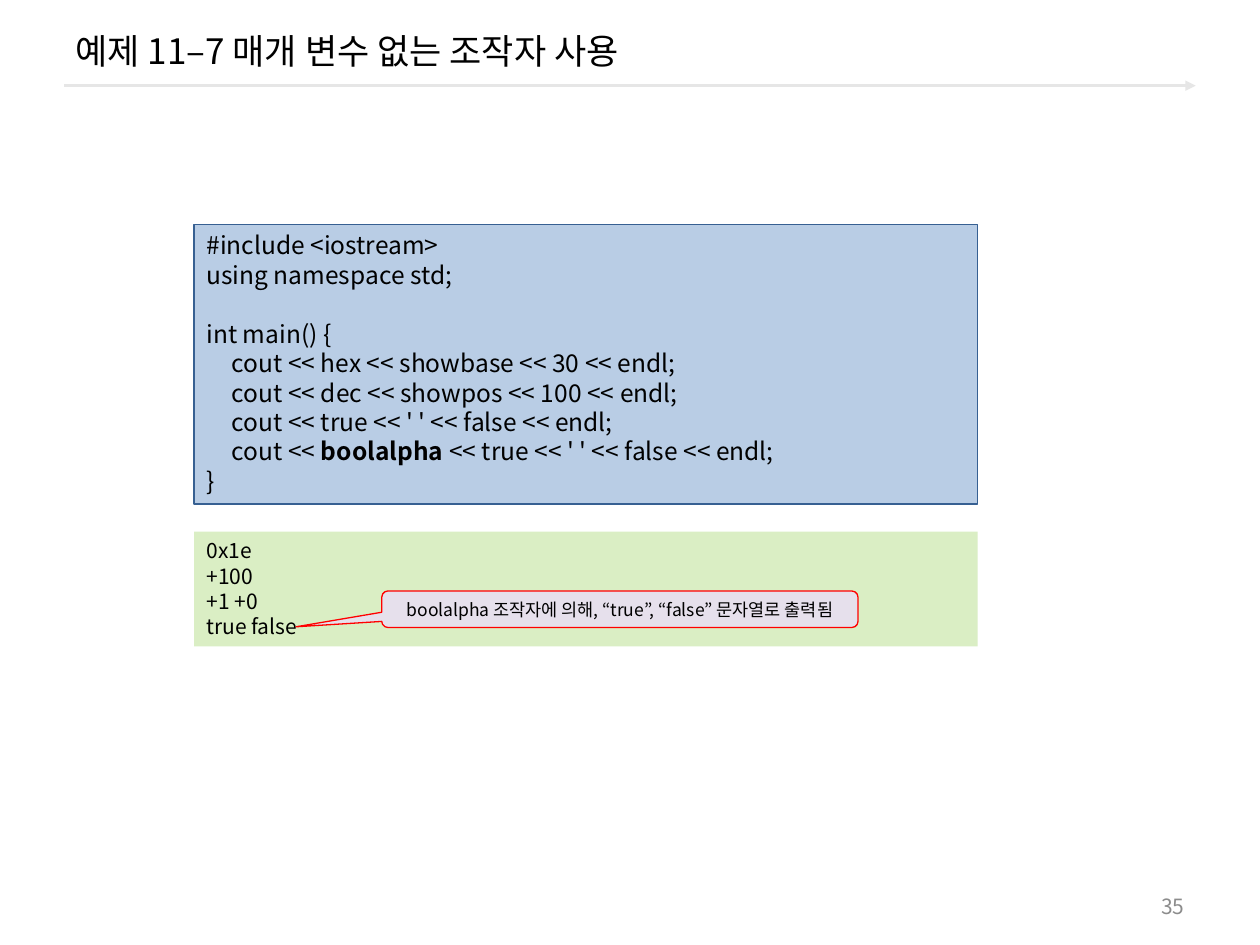
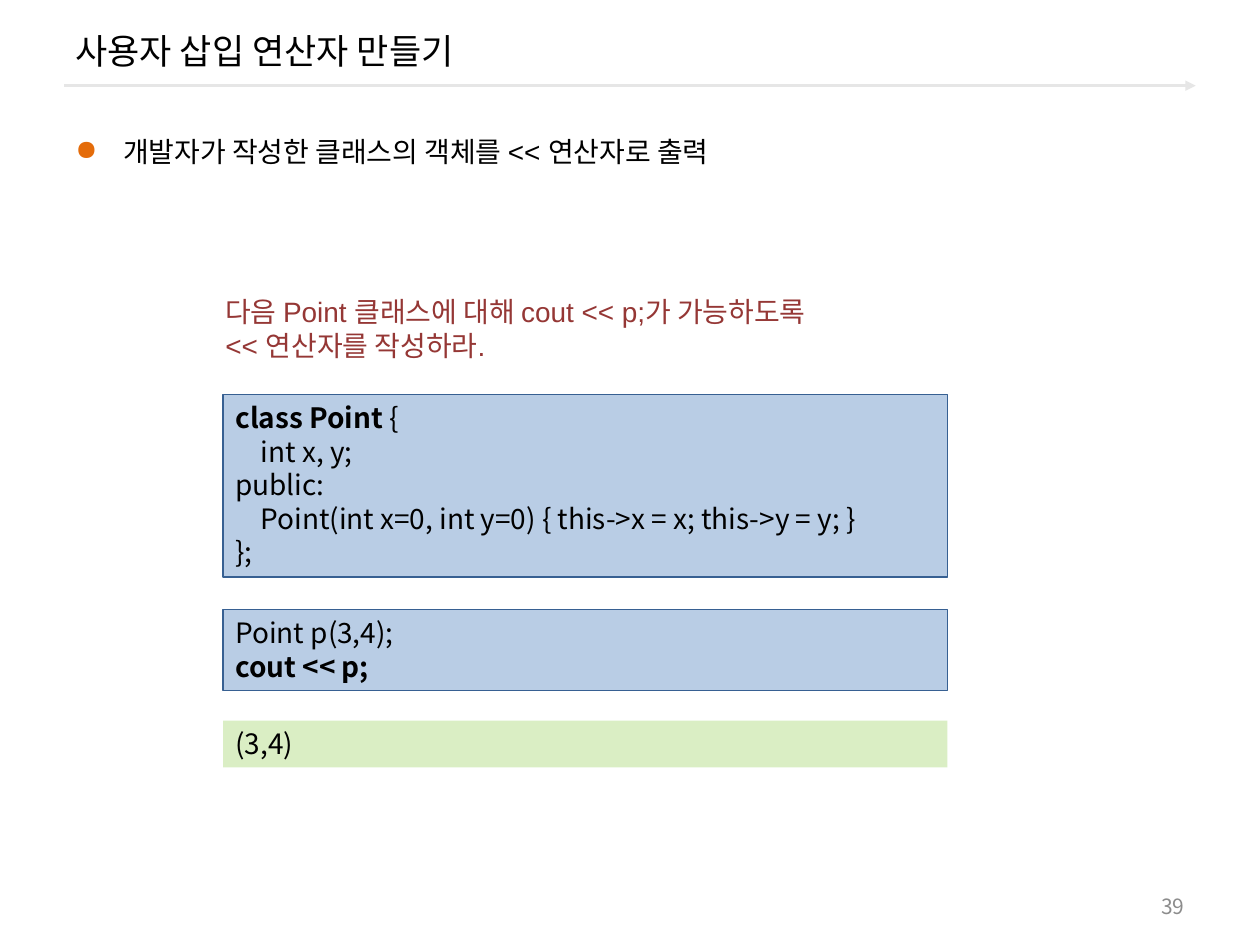
import dataclasses

import lxml.etree
import pptx
import pptx.dml.color
import pptx.enum.shapes
import pptx.enum.text
import pptx.oxml.ns
import pptx.util

Align = pptx.enum.text.PP_ALIGN
Anchor = pptx.enum.text.MSO_ANCHOR
Shape = pptx.enum.shapes.MSO_SHAPE
qn = pptx.oxml.ns.qn


@dataclasses.dataclass(frozen=True)
class Theme:
    sans: str = "Noto Sans CJK KR"
    latin: str = "Arial"
    text: str = "000000"
    muted: str = "8C8C8C"
    rule: str = "E6E6E6"
    bullet: str = "E46C0A"
    task: str = "953735"
    code_fill: str = "B9CDE5"
    code_line: str = "376092"
    output_fill: str = "DAEEC4"
    note_fill: str = "E6E0EC"
    note_line: str = "FF0000"
    title_size: int = 20
    body_size: int = 16
    code_size: int = 14
    small_size: int = 12
    note_size: int = 10
    leading: float = 1.2
    line_width: float = 0.75


THEME = Theme()
COLUMNS, ROWS = 100, 75
CELL = pptx.util.Inches(0.1)
CODE_TAB = pptx.util.Inches(0.2)
BULLET_INDENT = pptx.util.Inches(0.38)


def grid(*cells):
    """Turn columns and rows into lengths."""
    return [round(n * CELL) for n in cells]


def rgb(color):
    return pptx.dml.color.RGBColor.from_string(color)


def add_xml(parent, tag, **attributes):
    return lxml.etree.SubElement(parent, qn(tag), attributes)


def add_run(p, text, size, color, font, bold=False):
    r = p.add_run()
    r.text = text
    r.font.size = pptx.util.Pt(size)
    r.font.bold = bold
    r.font.name = font
    r.font.color.rgb = rgb(color)
    add_xml(r.font._element, "a:ea", typeface=THEME.sans)


def write(sp, lines, size, color=THEME.text, font=THEME.sans,
          align=Align.LEFT, anchor=Anchor.TOP, tab=None, wrap=True):
    """Write one paragraph per line; text between ** marks is bold."""
    tf = sp.text_frame
    tf.word_wrap = wrap
    tf.vertical_anchor = anchor
    for i, line in enumerate(lines):
        p = tf.add_paragraph() if i else tf.paragraphs[0]
        p.alignment = align
        if len(lines) > 1:
            p.line_spacing = pptx.util.Pt(round(size * THEME.leading, 1))
        if tab:
            tabs = add_xml(p._p.get_or_add_pPr(), "a:tabLst")
            add_xml(tabs, "a:tab", pos=str(tab), algn="l")
        for j, part in enumerate(line.split("**")):
            if part:
                add_run(p, part, size, color, font, bold=j % 2 == 1)
        if not line:
            add_xml(p._p, "a:endParaRPr", sz=str(size * 100))
    return tf


def add_text(s, place, lines, size, **style):
    return write(s.shapes.add_textbox(*grid(*place)), lines, size, **style)


def add_panel(s, place, fill, line=None, kind=Shape.RECTANGLE):
    sp = s.shapes.add_shape(kind, *grid(*place))
    sp.shadow.inherit = False
    sp.fill.solid()
    sp.fill.fore_color.rgb = rgb(fill)
    if line:
        sp.line.color.rgb = rgb(line)
        sp.line.width = pptx.util.Pt(THEME.line_width)
    else:
        sp.line.fill.background()
    return sp


def add_code(s, place, lines, size):
    sp = add_panel(s, place, THEME.code_fill, THEME.code_line)
    write(sp, lines, size, tab=CODE_TAB)


def add_output(s, place, lines, size):
    write(add_panel(s, place, THEME.output_fill), lines, size)


def add_callout(s, place, text, adjustments):
    sp = add_panel(s, place, THEME.note_fill, THEME.note_line,
                   Shape.ROUNDED_RECTANGULAR_CALLOUT)
    for i, value in enumerate(adjustments):
        sp.adjustments[i] = value
    write(sp, [text], THEME.note_size, align=Align.CENTER,
          anchor=Anchor.MIDDLE, wrap=False)


def add_bullet(s, place, text):
    tf = add_text(s, place, [text], THEME.body_size, font=THEME.latin)
    pPr = tf.paragraphs[0]._p.get_or_add_pPr()
    pPr.set("marL", str(BULLET_INDENT))
    pPr.set("indent", str(-BULLET_INDENT))
    add_xml(add_xml(pPr, "a:buClr"), "a:srgbClr", val=THEME.bullet)
    add_xml(pPr, "a:buChar", char="●")


def add_title_rule(s):
    margin, row = 5.1, 6.8
    line = s.shapes.add_connector(
        pptx.enum.shapes.MSO_CONNECTOR.STRAIGHT,
        *grid(margin, row, COLUMNS - margin, row))
    line.line.color.rgb = rgb(THEME.rule)
    line.line.width = pptx.util.Pt(1.5)
    add_xml(line.line._get_or_add_ln(), "a:tailEnd", type="triangle")
    add_xml(line._element.spPr, "a:effectLst")


def new_slide(prs, title, number):
    s = prs.slides.add_slide(prs.slide_layouts[6])
    add_title_rule(s)
    add_text(s, (5, 0.8, 90, 6.4), [title], THEME.title_size,
             anchor=Anchor.MIDDLE)
    add_text(s, (71.7, 70.3, 23.3, 3.2), [str(number)], THEME.small_size,
             color=THEME.muted, align=Align.RIGHT, anchor=Anchor.MIDDLE)
    return s


def manipulators_slide(prs):
    s = new_slide(prs, "예제 11–7 매개 변수 없는 조작자 사용", 35)
    left, width = 15.4, 62.2
    add_code(s, (left, 17.8, width, 22.2), [
        "#include <iostream>",
        "using namespace std;",
        "",
        "int main() {",
        "\tcout << hex << showbase << 30 << endl;",
        "\tcout << dec << showpos << 100 << endl;",
        "\tcout << true << ' ' << false << endl;",
        "\tcout << **boolalpha** << true << ' ' << false << endl;",
        "}",
    ], THEME.code_size)
    add_output(s, (left, 42.2, width, 9.1),
               ["0x1e", "+100", "+1 +0", "true false"], THEME.small_size)
    add_callout(s, (30.3, 46.9, 37.8, 2.9),
                "boolalpha 조작자에 의해, “true”, “false” 문자열로 출력됨",
                (-0.68, 0.48, 0.17))


def insertion_operator_slide(prs):
    s = new_slide(prs, "사용자 삽입 연산자 만들기", 39)
    left, width = 17.7, 57.5
    add_bullet(s, (5, 10.2, 90, 60.2),
               "개발자가 작성한 클래스의 객체를 << 연산자로 출력")
    add_text(s, (16.9, 22.9, 62.2, 6.4), [
        "다음 Point 클래스에 대해 cout << p;가 가능하도록",
        "<< 연산자를 작성하라.",
    ], THEME.body_size, color=THEME.task, font=THEME.latin)
    add_code(s, (left, 31.3, width, 14.5), [
        "**class Point **{",
        "\tint x, y;",
        "public:",
        "\tPoint(int x=0, int y=0) { this->x = x; this->y = y; }",
        "};",
    ], THEME.body_size)
    add_code(s, (left, 48.4, width, 6.4),
             ["Point p(3,4);", "**cout << p;**"], THEME.body_size)
    add_output(s, (left, 57.2, width, 3.7), ["(3,4)"], THEME.body_size)


def main():
    prs = pptx.Presentation()
    prs.slide_width, prs.slide_height = grid(COLUMNS, ROWS)
    manipulators_slide(prs)
    insertion_operator_slide(prs)
    prs.save("out.pptx")


if __name__ == "__main__":
    main()
